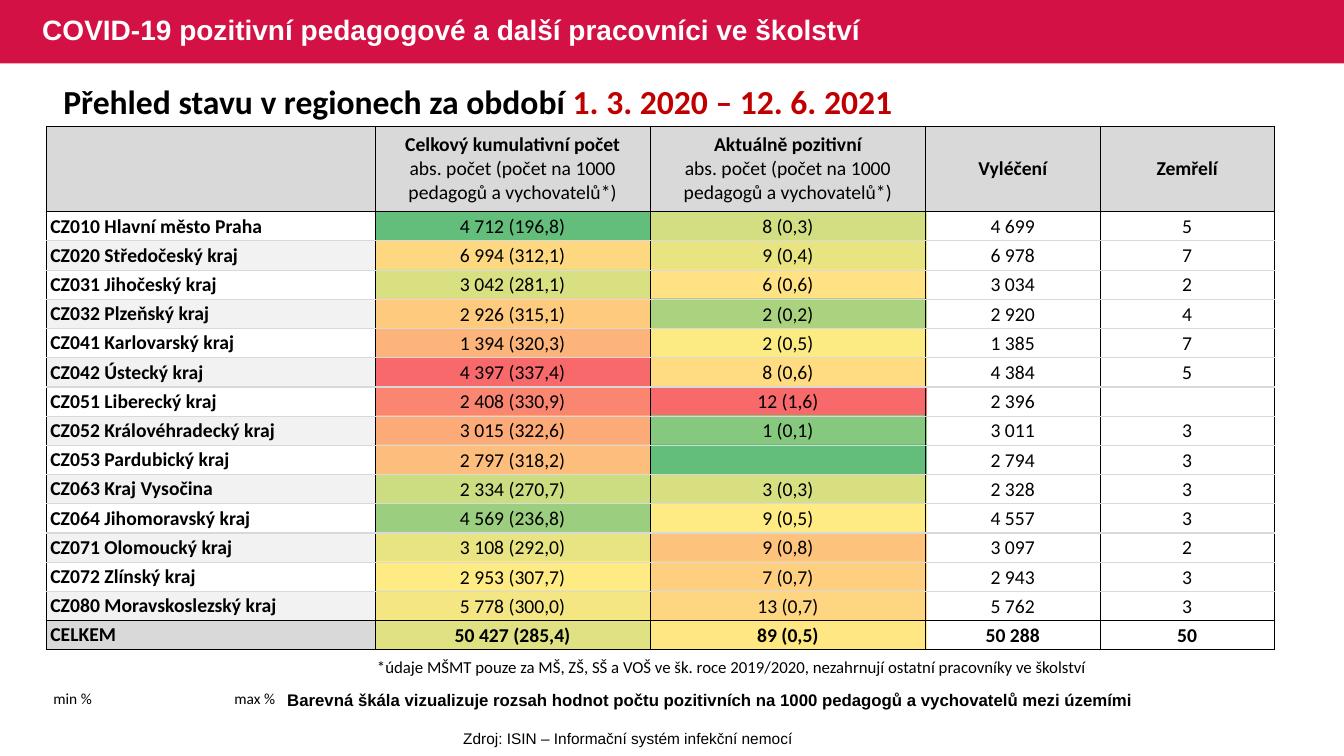
from lxml import etree
from pptx import Presentation
from pptx.dml.color import RGBColor
from pptx.enum.shapes import MSO_SHAPE
from pptx.enum.text import MSO_ANCHOR, PP_ALIGN
from pptx.oxml.ns import qn
from pptx.util import Inches, Pt

LEFT, CENTER = PP_ALIGN.LEFT, PP_ALIGN.CENTER
MIDDLE, TOP = MSO_ANCHOR.MIDDLE, MSO_ANCHOR.TOP
NO_STYLE = "{2D5ABB26-0587-4C30-8999-92F81FD0307C}"
BLACK, WHITE, RED, DARK_RED = "000000", "FFFFFF", "D31145", "C00000"
HEADER_GRAY, BAND_GRAY, LINE_GRAY = "D9D9D9", "F2F2F2", "D9D9D9"

RATE_NOTE = "abs. počet (počet na 1000 pedagogů a vychovatelů*)"
HEADERS = [
    [],
    ["Celkový kumulativní počet", RATE_NOTE],
    ["Aktuálně pozitivní", RATE_NOTE],
    ["Vyléčení"],
    ["Zemřelí"],
]
# region, cumulative, currently positive, recovered, deceased, two scale colours
REGIONS = [
    ("CZ010 Hlavní město Praha", "4 712 (196,8)", "8 (0,3)", "4 699", "5", "63BE7B", "D2DE81"),
    ("CZ020 Středočeský kraj", "6 994 (312,1)", "9 (0,4)", "6 978", "7", "FED881", "E9E482"),
    ("CZ031 Jihočeský kraj", "3 042 (281,1)", "6 (0,6)", "3 034", "2", "D9E081", "FFE283"),
    ("CZ032 Plzeňský kraj", "2 926 (315,1)", "2 (0,2)", "2 920", "4", "FECB7E", "ABD27F"),
    ("CZ041 Karlovarský kraj", "1 394 (320,3)", "2 (0,5)", "1 385", "7", "FDB47A", "FCEA83"),
    ("CZ042 Ústecký kraj", "4 397 (337,4)", "8 (0,6)", "4 384", "5", "F8696B", "FFDB81"),
    ("CZ051 Liberecký kraj", "2 408 (330,9)", "12 (1,6)", "2 396", "", "FA8671", "F8696B"),
    ("CZ052 Královéhradecký kraj", "3 015 (322,6)", "1 (0,1)", "3 011", "3", "FCAA78", "86C87D"),
    ("CZ053 Pardubický kraj", "2 797 (318,2)", "", "2 794", "3", "FDBD7C", "63BE7B"),
    ("CZ063 Kraj Vysočina", "2 334 (270,7)", "3 (0,3)", "2 328", "3", "CBDC81", "D7DF81"),
    ("CZ064 Jihomoravský kraj", "4 569 (236,8)", "9 (0,5)", "4 557", "3", "9BCE7E", "FFEB84"),
    ("CZ071 Olomoucký kraj", "3 108 (292,0)", "9 (0,8)", "3 097", "2", "E8E482", "FDC27C"),
    ("CZ072 Zlínský kraj", "2 953 (307,7)", "7 (0,7)", "2 943", "3", "FFEB84", "FECF7F"),
    ("CZ080 Moravskoslezský kraj", "5 778 (300,0)", "13 (0,7)", "5 762", "3", "F4E783", "FED580"),
    ("CELKEM", "50 427 (285,4)", "89 (0,5)", "50 288", "50", "DFE182", "FFE784"),
]
COLUMNS = [3.26, 2.73, 2.73, 1.73, 1.73]
HEADER_HEIGHT, ROW_HEIGHT = 0.85, 0.29
TABLE_LEFT, TABLE_TOP = 0.46, 1.25

SCALE_LABELS = "min %\tmax %"
# box, runs of (text, colour), format
TEXTS = [
    ((0.32, 0, 8.52, 0.63),
     [("COVID-19 pozitivní pedagogové a další pracovníci ve školství", WHITE)],
     dict(size=20, name="Arial", bold=True, anchor=MIDDLE, spacing=0.9)),
    ((0.53, 0.75, 10.32, 0.5),
     [("Přehled stavu v regionech za období ", BLACK), ("1. 3. 2020 – 12. 6. 2021", DARK_RED)],
     dict(size=24, bold=True)),
    ((2.75, 6.79, 10.02, 0.3),
     [("Barevná škála vizualizuje rozsah hodnot počtu pozitivních na 1000 pedagogů "
       "a vychovatelů mezi územími", BLACK)],
     dict(size=12, name="Arial", bold=True)),
    ((0.46, 6.84, 2.34, 0.19), [(SCALE_LABELS, BLACK)],
     dict(size=11, margins=(0.07, 0, 0, 0), right_tab=2.2)),
    ((3.64, 6.47, 8.88, 0.3),
     [("*údaje MŠMT pouze za MŠ, ZŠ, SŠ a VOŠ ve šk. roce 2019/2020, nezahrnují ostatní "
       "pracovníky ve školství", BLACK)],
     dict(size=12)),
    ((2.36, 7.18, 7.74, 0.29),
     [("Zdroj: ISIN – Informační systém infekční nemocí", BLACK)],
     dict(size=11, name="Arial", align=CENTER)),
]


def rgb(color):
    return RGBColor.from_string(color)


def set_margins(target, margins):
    for side, value in zip(("left", "top", "right", "bottom"), margins):
        setattr(target, "margin_" + side, Inches(value))


def add_run(paragraph, text, color=BLACK, size=14, name="Calibri", bold=False):
    run = paragraph.add_run()
    run.text = text
    for attribute, value in dict(size=Pt(size), name=name, bold=bold).items():
        setattr(run.font, attribute, value)
    run.font.color.rgb = rgb(color)


def add_text(slide, box, runs, size, name="Calibri", bold=False, align=LEFT, anchor=TOP,
             spacing=None, margins=(0.1, 0.05, 0.1, 0.05), right_tab=None):
    frame = slide.shapes.add_textbox(*map(Inches, box)).text_frame
    frame.word_wrap = True
    frame.vertical_anchor = anchor
    set_margins(frame, margins)
    paragraph = frame.paragraphs[0]
    paragraph.alignment = align
    if spacing:
        paragraph.line_spacing = spacing
    if right_tab:
        tabs = etree.SubElement(paragraph._p.get_or_add_pPr(), qn("a:tabLst"))
        etree.SubElement(tabs, qn("a:tab"), pos=str(Inches(right_tab)), algn="r")
    for text, color in runs:
        add_run(paragraph, text, color, size, name, bold)


def add_plain_table(slide, left, top, widths, heights):
    """Add a table without any built-in style and return it."""
    frame = slide.shapes.add_table(len(heights), len(widths), Inches(left), Inches(top),
                                   Inches(sum(widths)), Inches(sum(heights)))
    table = frame.table
    table.first_row = table.horz_banding = False
    table._tbl.tblPr.find(qn("a:tableStyleId")).text = NO_STYLE
    for column, width in zip(table.columns, widths):
        column.width = Inches(width)
    for row, height in zip(table.rows, heights):
        row.height = Inches(height)
    return table


def fill_cell(cell, lines, fill=None, align=CENTER, margins=(0.01, 0.01, 0.01, 0)):
    """Write (text, bold) lines into a cell; a cell without text keeps a low line."""
    set_margins(cell, margins)
    cell.vertical_anchor = MIDDLE
    frame = cell.text_frame
    for index, (text, bold) in enumerate(lines):
        paragraph = frame.add_paragraph() if index else frame.paragraphs[0]
        paragraph.alignment = align
        add_run(paragraph, text, bold=bold)
    if not lines:
        etree.SubElement(frame.paragraphs[0]._p, qn("a:endParaRPr"), sz="1000")
    if fill:
        cell.fill.solid()
        cell.fill.fore_color.rgb = rgb(fill)
    else:
        cell.fill.background()


def set_borders(cell, top, bottom):
    properties = cell._tc.get_or_add_tcPr()
    sides = [("L", BLACK), ("R", BLACK), ("T", top), ("B", bottom)]
    for index, (side, color) in enumerate(sides):
        width = Pt(0.5) if color == BLACK else Pt(1)
        line = etree.Element(qn("a:ln" + side), w=str(width))
        solid = etree.SubElement(line, qn("a:solidFill"))
        etree.SubElement(solid, qn("a:srgbClr"), val=color)
        properties.insert(index, line)


def add_color_scale(slide):
    table = add_plain_table(slide, 3.73, 2.09, COLUMNS[1:3], [ROW_HEIGHT] * len(REGIONS))
    for row, region in enumerate(REGIONS):
        for column, color in enumerate(region[5:]):
            fill_cell(table.cell(row, column), [], color)


def add_region_table(slide):
    heights = [HEADER_HEIGHT] + [ROW_HEIGHT] * len(REGIONS)
    table = add_plain_table(slide, TABLE_LEFT, TABLE_TOP, COLUMNS, heights)
    wide = (0.04, 0, 0.04, 0)
    for column, texts in enumerate(HEADERS):
        cell = table.cell(0, column)
        lines = [(text, index == 0) for index, text in enumerate(texts)]
        fill_cell(cell, lines, HEADER_GRAY, margins=wide)
        set_borders(cell, BLACK, BLACK)
    total = len(REGIONS)
    for row, region in enumerate(REGIONS, start=1):
        top = BLACK if row in (1, total) else LINE_GRAY
        bottom = BLACK if row >= total - 1 else LINE_GRAY
        band = HEADER_GRAY if row == total else BAND_GRAY if row % 2 == 0 else None
        for column, text in enumerate(region[:5]):
            cell = table.cell(row, column)
            lines = [(text, column == 0 or row == total)] if text else []
            if column == 0:
                fill_cell(cell, lines, band, LEFT, wide)
            else:
                fill_cell(cell, lines)
            set_borders(cell, top, bottom)


def main():
    presentation = Presentation()
    presentation.slide_width, presentation.slide_height = Inches(13.33), Inches(7.5)
    slide = presentation.slides.add_slide(presentation.slide_layouts[6])
    title_bar = slide.shapes.add_shape(MSO_SHAPE.RECTANGLE, 0, 0, Inches(13.33), Inches(0.63))
    title_bar.shadow.inherit = False
    title_bar.fill.solid()
    title_bar.fill.fore_color.rgb = rgb(RED)
    title_bar.line.fill.background()
    add_color_scale(slide)
    add_region_table(slide)
    for box, runs, text_format in TEXTS:
        add_text(slide, box, runs, **text_format)
    presentation.save("out.pptx")


if __name__ == "__main__":
    main()
